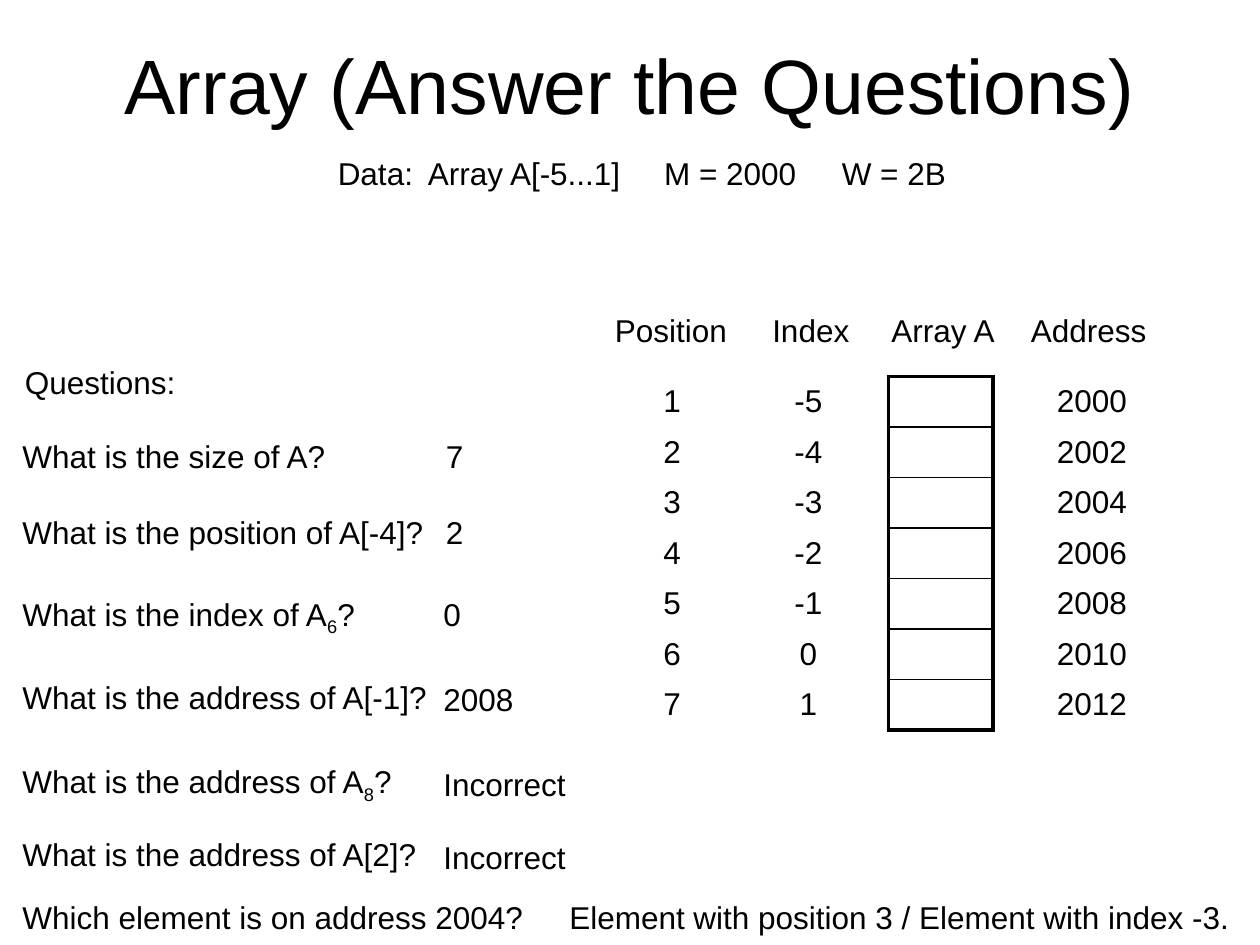
from lxml import etree
from pptx import Presentation
from pptx.dml.color import RGBColor
from pptx.enum.text import MSO_ANCHOR, MSO_AUTO_SIZE, PP_ALIGN
from pptx.oxml.ns import qn
from pptx.util import Pt

LEFT, CENTER = PP_ALIGN.LEFT, PP_ALIGN.CENTER
TOP, MIDDLE = MSO_ANCHOR.TOP, MSO_ANCHOR.MIDDLE
GROW, FIXED = MSO_AUTO_SIZE.SHAPE_TO_FIT_TEXT, MSO_AUTO_SIZE.NONE
COLORS = {"ink": "000000"}
FONT = "Arial"
SCALE = 9144  # EMU per px, 100 px to the inch
LINE_HEIGHT = 40
CELL_WIDTH = 83
THICK, THIN = 2.25, 1


def px(length):
    return length * SCALE


def write(frame, text, size=18, align=LEFT):
    """Fill a text frame; text between underscores is set as a subscript."""
    para = frame.paragraphs[0]
    para.alignment = align
    for number, part in enumerate(text.split("_")):
        span = para.add_run()
        span.text = part
        span.font.name = FONT
        span.font.size = Pt(size)
        span.font.color.rgb = RGBColor.from_string(COLORS["ink"])
        if number % 2:
            span._r.get_or_add_rPr().set("baseline", "-25000")


def add_border(cell, side, width):
    line = etree.SubElement(cell._tc.get_or_add_tcPr(), qn(f"a:ln{side}"), w=str(Pt(width)))
    fill = etree.SubElement(line, qn("a:solidFill"))
    etree.SubElement(fill, qn("a:srgbClr"), val=COLORS["ink"])


class SlideBuilder:
    def __init__(self, page):
        self.page = page

    def text(self, text, left, top, width, height=LINE_HEIGHT, size=18,
             align=LEFT, anchor=TOP, wrap=False):
        box = self.page.shapes.add_textbox(px(left), px(top), px(width), px(height))
        frame = box.text_frame
        frame.word_wrap = wrap
        frame.auto_size = FIXED if wrap else GROW
        frame.vertical_anchor = anchor
        write(frame, text, size, align)

    def column(self, values, left, top, bordered=False):
        """Add a one-column table."""
        count = len(values)
        table = self.page.shapes.add_table(
            count, 1, px(left), px(top), px(CELL_WIDTH), px(LINE_HEIGHT * count)).table
        table.first_row = table.horz_banding = False
        for row, value in enumerate(values):
            cell = table.cell(row, 0)
            if bordered:
                add_border(cell, "L", THICK)
                add_border(cell, "R", THICK)
                add_border(cell, "T", THICK if row == 0 else THIN)
                add_border(cell, "B", THICK if row == count - 1 else THIN)
            cell.fill.background()
            if value:
                write(cell.text_frame, value, align=CENTER)


def main():
    deck = Presentation()
    deck.slide_width, deck.slide_height = px(1000), px(750)
    builder = SlideBuilder(deck.slides.add_slide(deck.slide_layouts[6]))

    builder.text("Array (Answer the Questions)", 75, 25, 850, 83, size=44,
                 align=CENTER, anchor=MIDDLE, wrap=True)

    data = [("Data:", 258, 80), ("Array A[-5...1]", 329, 174),
            ("M = 2000", 517, 125), ("W = 2B", 658, 103)]
    for text, left, width in data:
        builder.text(text, left, 117, width, align=CENTER)

    headings = [("Position", 478, 109), ("Index", 603, 81),
                ("Array A", 697, 103), ("Address", 808, 112)]
    for text, left, width in headings:
        builder.text(text, left, 242, width, align=CENTER)

    size, first_index, first_address, word = 7, -5, 2000, 2
    steps = range(size)
    builder.column([str(step + 1) for step in steps], 492, 300)
    builder.column([str(first_index + step) for step in steps], 600, 300)
    builder.column([""] * size, 705, 299, bordered=True)
    builder.column([str(first_address + word * step) for step in steps], 825, 300)

    builder.text("Questions:", 10, 283, 140)
    # question, top, width, then answer, left, top, width
    questions = [
        ("What is the size of A?", 342, 262, "7", 344, 342, 34),
        ("What is the position of A[-4]?", 402, 340, "2", 344, 402, 34),
        ("What is the index of A_6_?", 467, 286, "0", 342, 467, 34),
        ("What is the address of A[-1]?", 533, 342, "2008", 342, 535, 76),
        ("What is the address of A_8_?", 600, 315, "Incorrect", 342, 602, 117),
        ("What is the address of A[2]?", 658, 334, "Incorrect", 342, 660, 117),
        ("Which element is on address 2004?", 708, 420,
         "Element with position 3 / Element with index -3.", 442, 708, 546),
    ]
    for question, top, width, answer, answer_left, answer_top, answer_width in questions:
        builder.text(question, 8, top, width)
        builder.text(answer, answer_left, answer_top, answer_width)

    deck.save("out.pptx")


if __name__ == "__main__":
    main()
